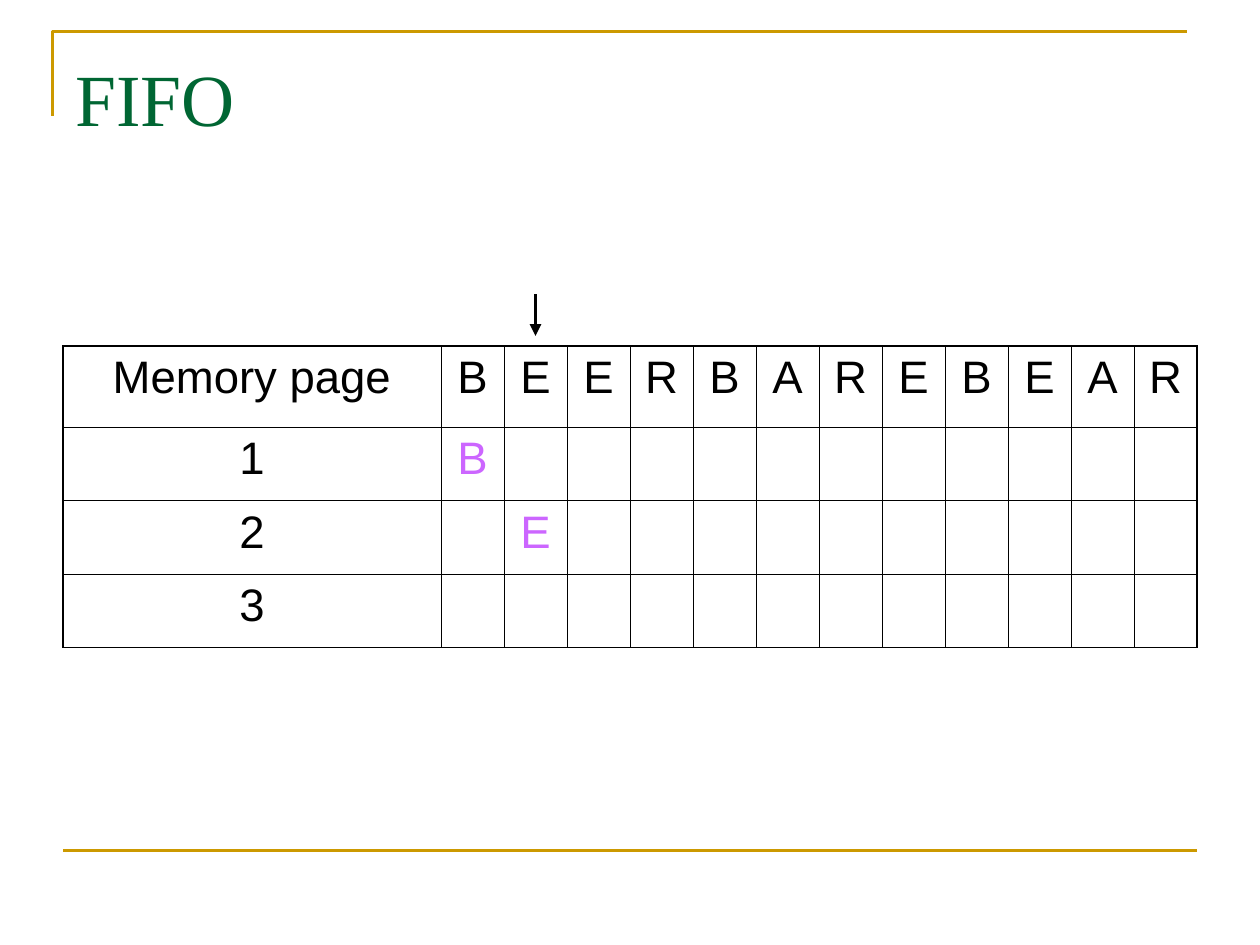
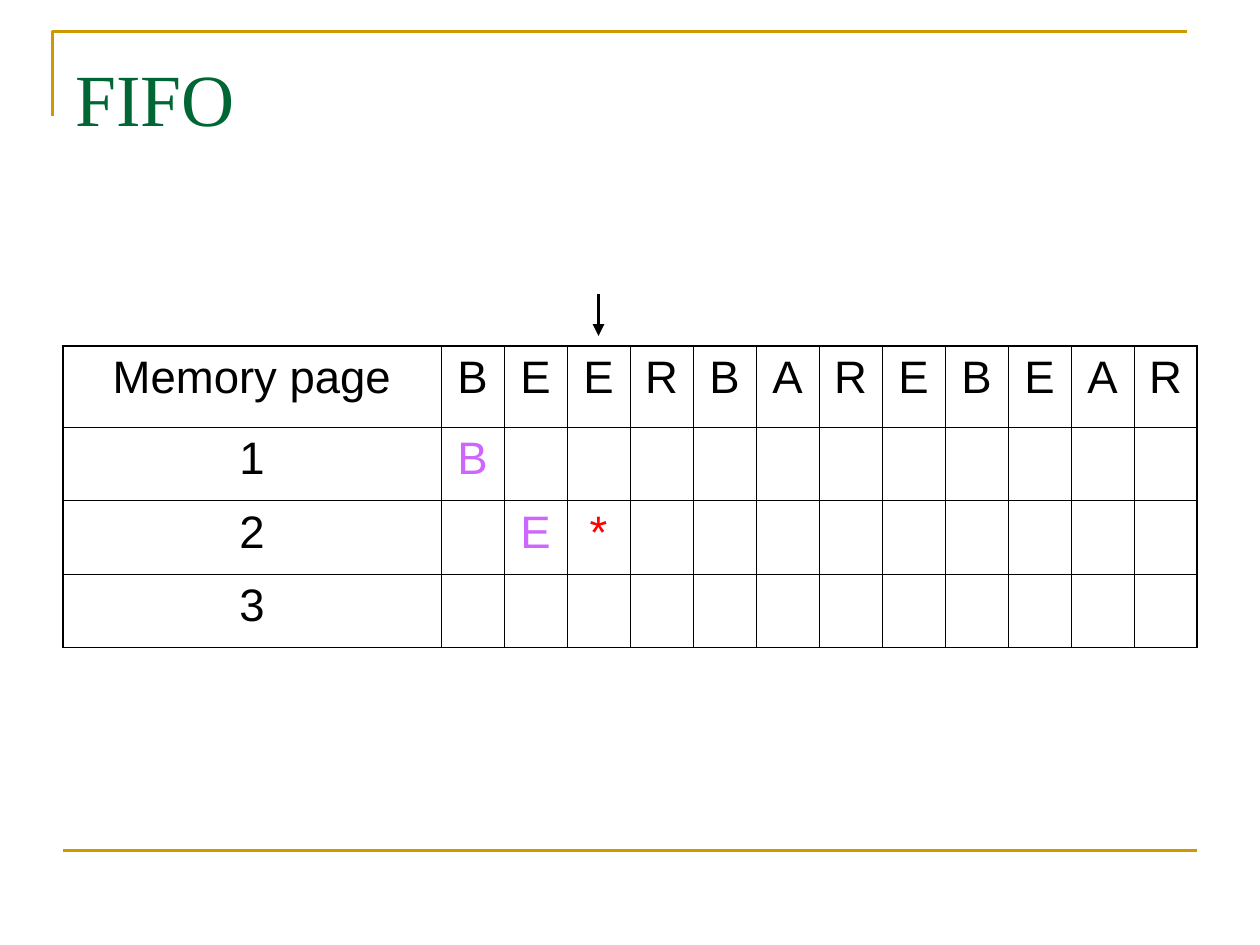
from lxml.etree import SubElement
from pptx import Presentation
from pptx.dml.color import RGBColor
from pptx.enum.shapes import MSO_CONNECTOR
from pptx.enum.text import MSO_ANCHOR, MSO_AUTO_SIZE, PP_ALIGN
from pptx.oxml.ns import qn
from pptx.util import Cm, Pt

# Shared look
GOLD, GREEN, BLACK = "CC9900", "006633", "000000"
VIOLET, RED = "CC66FF", "FF0000"
LEFT, TOP = 1.27, 6.98
HEAD, STEP = 7.62, 1.27
ROWS = [1.63, 1.48, 1.48, 1.48]
THIN, THICK = 0.45, 1.08
PAGES = "BEERBAREBEAR"


def hue(code):
    return RGBColor.from_string(code)


def write(frame, text, font="Arial", size=26, color=BLACK, align=PP_ALIGN.CENTER):
    para = frame.paragraphs[0]
    para.alignment = align
    run = para.add_run()
    run.text = text
    run.font.name = font
    run.font.size = Pt(size)
    run.font.color.rgb = hue(color)


# Each slide: column the arrow points at, and marks by (row, column)
loads = {(1, 1): ("B", VIOLET), (2, 2): ("E", VIOLET)}
steps = [(2, loads), (3, loads | {(2, 3): ("*", RED)})]

deck = Presentation()
deck.slide_width, deck.slide_height = Cm(25.4), Cm(19.05)

for now, marks in steps:
    slide = deck.slides.add_slide(deck.slide_layouts[5])
    shapes = slide.shapes

    # Corner bracket
    pen = shapes.build_freeform(Cm(1.06), Cm(2.33))
    pen.add_line_segments([(Cm(1.06), Cm(0.63)), (Cm(23.92), Cm(0.63))], close=False)
    frame = pen.convert_to_shape()
    frame.shadow.inherit = False
    frame.fill.background()
    frame.line.color.rgb = hue(GOLD)
    frame.line.width = Pt(1.5)

    # Title
    title = shapes.title
    title.left, title.top = Cm(LEFT), Cm(0.76)
    title.width, title.height = Cm(22.86), Cm(3.18)
    box = title.text_frame
    box.auto_size = MSO_AUTO_SIZE.NONE
    box.vertical_anchor = MSO_ANCHOR.TOP
    box.margin_top = Cm(0.3)
    write(box, "FIFO", font="Times New Roman", size=42, color=GREEN, align=PP_ALIGN.LEFT)

    # Page table
    cols = len(PAGES) + 1
    grid = shapes.add_table(len(ROWS), cols, Cm(LEFT), Cm(TOP),
                            Cm(HEAD + STEP * len(PAGES)), Cm(sum(ROWS))).table
    grid.first_row = grid.horz_banding = False
    for col, part in enumerate(grid.columns):
        part.width = Cm(STEP if col else HEAD)
    for row, high in enumerate(ROWS):
        grid.rows[row].height = Cm(high)

    cells = {(0, col): (page, BLACK) for col, page in enumerate(PAGES, 1)}
    cells |= {(row, 0): (str(row), BLACK) for row in range(1, len(ROWS))}
    cells |= {(0, 0): ("Memory page", BLACK)} | marks
    for row in range(len(ROWS)):
        for col in range(cols):
            cell = grid.cell(row, col)
            if (row, col) in cells:
                text, color = cells[row, col]
                write(cell.text_frame, text, color=color)
            # Borders, thicker on the outer edge
            edges = {"a:lnL": col == 0, "a:lnR": col == cols - 1,
                     "a:lnT": row == 0, "a:lnB": row == len(ROWS) - 1}
            props = cell._tc.get_or_add_tcPr()
            for tag, outer in edges.items():
                edge = SubElement(props, qn(tag), w=str(Pt(THICK if outer else THIN)))
                fill = SubElement(edge, qn("a:solidFill"))
                SubElement(fill, qn("a:srgbClr"), val=BLACK)
            cell.fill.background()

    # Footer rule and arrow to the current page
    spot = LEFT + HEAD + STEP * (now - 0.5)
    lines = [(LEFT, 17.15, 24.13, 17.15, GOLD, 1.5, False),
             (spot, 5.93, spot, 6.77, BLACK, 2.25, True)]
    for x1, y1, x2, y2, color, width, arrow in lines:
        link = shapes.add_connector(MSO_CONNECTOR.STRAIGHT, Cm(x1), Cm(y1), Cm(x2), Cm(y2))
        link.line.color.rgb = hue(color)
        link.line.width = Pt(width)
        if arrow:
            SubElement(link.line._get_or_add_ln(), qn("a:tailEnd"), type="triangle")
        SubElement(link._element.spPr, qn("a:effectLst"))

deck.save("out.pptx")
